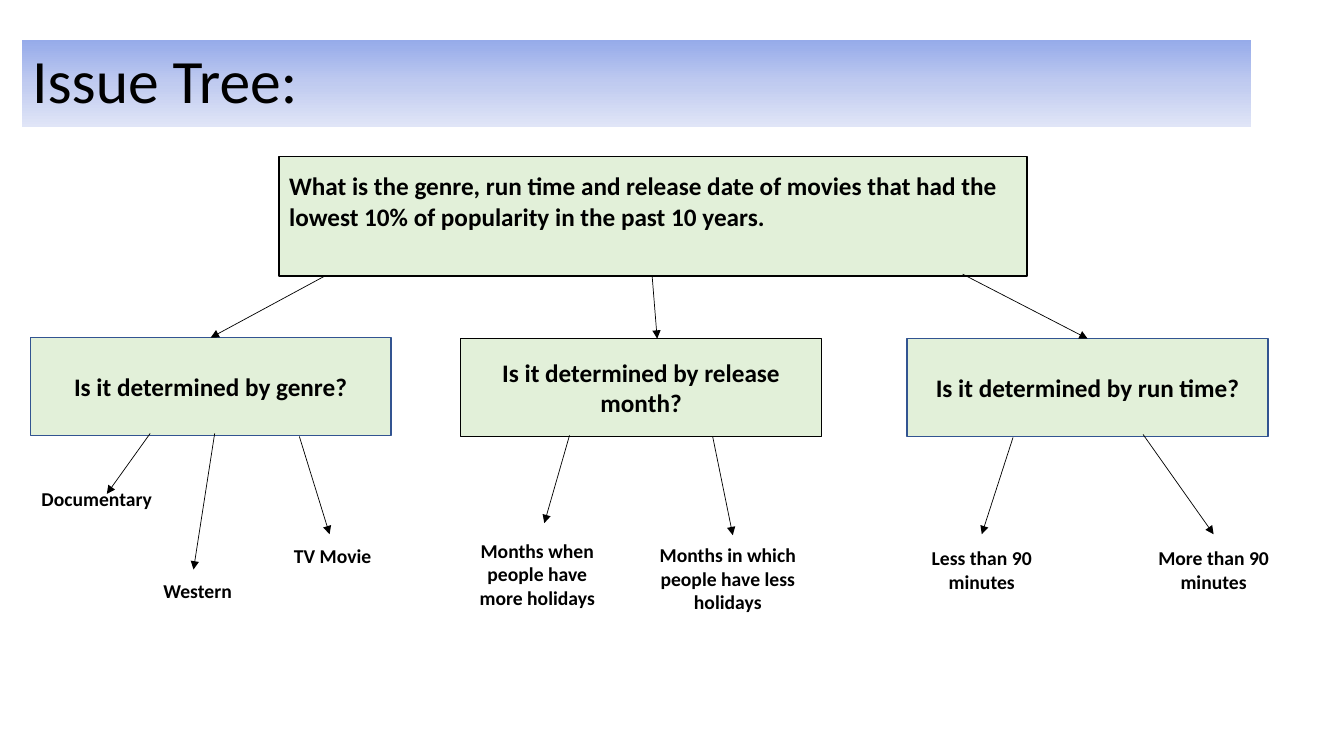
import copy
from dataclasses import dataclass
from typing import Any, Optional

import lxml.etree
import pptx
import pptx.dml.color
import pptx.enum.shapes
import pptx.enum.text
import pptx.oxml
import pptx.oxml.ns
import pptx.util

RGBColor = pptx.dml.color.RGBColor
Align = pptx.enum.text.PP_ALIGN

BLACK = RGBColor(0x00, 0x00, 0x00)
WHITE = RGBColor(0xFF, 0xFF, 0xFF)
PALE_GREEN = RGBColor(0xE2, 0xF0, 0xD9)
NAVY = RGBColor(0x32, 0x54, 0x91)
BANNER_TOP = RGBColor(0x96, 0xAB, 0xEA)
BANNER_MIDDLE = RGBColor(0xC0, 0xCB, 0xF0)
BANNER_BOTTOM = RGBColor(0xE0, 0xE5, 0xF7)

COLUMNS, ROWS = 80, 45
SLIDE_WIDTH, SLIDE_HEIGHT = pptx.util.Inches(13.33), pptx.util.Inches(7.5)
BRANCH_WIDTH, BRANCH_HEIGHT = 21.48, 5.82
LEAF_WIDTH, LEAF_HEIGHT = 9.84, 4.2


@dataclass(frozen=True)
class Node:
    text: str
    left: float
    top: float
    width: float
    height: float
    fill: Optional[RGBColor] = PALE_GREEN
    line: Optional[RGBColor] = BLACK
    size: int = 18
    bold: bool = True
    align: Any = Align.CENTER
    bottom_inset: float = 0.3


@dataclass(frozen=True)
class Arrow:
    start_column: float
    start_row: float
    end_column: float
    end_row: float


def branch(text: str, left: float, top: float, line: RGBColor) -> Node:
    return Node(text, left, top, BRANCH_WIDTH, BRANCH_HEIGHT, line=line)


def leaf(text: str, left: float, top: float, height: float = LEAF_HEIGHT) -> Node:
    return Node(text, left, top, LEAF_WIDTH, height, WHITE, None, 14)


TITLE = Node("Issue Tree:", 1.32, 2.4, 73.14, 5.16, None, None, 44, False, Align.LEFT)

NODES = [
    Node(
        "What is the genre, run time and release date of movies that had the "
        "lowest 10% of popularity in the past 10 years.",
        16.62, 9.3, 44.52, 7.14, align=Align.LEFT, bottom_inset=2.13,
    ),
    branch("Is it determined by genre?", 1.8, 20.1, NAVY),
    branch("Is it determined by release month?", 27.42, 20.16, BLACK),
    branch("Is it determined by run time?", 54, 20.16, NAVY),
    leaf("Western", 6.84, 33.06),
    leaf("TV Movie", 14.88, 30.96),
    leaf("Documentary", 0.84, 27.6),
    leaf("Months when people have more holidays", 27.06, 31.8, 4.74),
    leaf("Months in which people have less holidays", 38.4, 32.34),
    leaf("Less than 90 minutes", 53.52, 31.8),
    leaf("More than 90 minutes", 67.32, 31.8),
]

ARROWS = [
    Arrow(19.32, 16.44, 12.54, 20.1),
    Arrow(38.82, 16.44, 39.12, 20.16),
    Arrow(57.3, 16.32, 64.74, 20.16),
    Arrow(8.94, 25.8, 6.36, 29.4),
    Arrow(12.78, 25.8, 11.52, 33.9),
    Arrow(17.82, 25.98, 19.62, 31.8),
    Arrow(33.9, 25.92, 32.4, 31.14),
    Arrow(42.42, 25.98, 43.62, 31.86),
    Arrow(60.3, 26.04, 58.44, 31.8),
    Arrow(68.04, 25.86, 72.24, 31.8),
]


def across(columns: float) -> int:
    return round(SLIDE_WIDTH * columns / COLUMNS)


def down(rows: float) -> int:
    return round(SLIDE_HEIGHT * rows / ROWS)


def apply_format(target: Any, values: dict[str, Any]) -> None:
    for name, value in values.items():
        setattr(target, name, value)


def draw_node(page: Any, node: Node) -> Any:
    box = page.shapes.add_shape(
        pptx.enum.shapes.MSO_SHAPE.RECTANGLE,
        across(node.left), down(node.top), across(node.width), down(node.height),
    )
    box.shadow.inherit = False
    if node.fill is not None:
        box.fill.solid()
        box.fill.fore_color.rgb = node.fill
    if node.line is None:
        box.line.fill.background()
    else:
        box.line.color.rgb = node.line
        box.line.width = pptx.util.Pt(1)
    apply_format(box.text_frame, {
        "word_wrap": True,
        "vertical_anchor": pptx.enum.text.MSO_ANCHOR.MIDDLE,
        "margin_bottom": down(node.bottom_inset),
    })
    para = box.text_frame.paragraphs[0]
    para.alignment = node.align
    span = para.add_run()
    span.text = node.text
    apply_format(span.font, {
        "name": "Calibri",
        "size": pptx.util.Pt(node.size),
        "bold": node.bold,
    })
    span.font.color.rgb = BLACK
    return box


def draw_title(page: Any, node: Node) -> None:
    box = draw_node(page, node)
    box.text_frame.paragraphs[0].line_spacing = 0.9
    box.fill.gradient()
    box.fill.gradient_angle = 270
    stop_list = box.element.spPr.find(".//" + pptx.oxml.ns.qn("a:gsLst"))
    stop_list.insert(1, copy.deepcopy(stop_list[0]))
    colors = [BANNER_TOP, BANNER_MIDDLE, BANNER_BOTTOM]
    for index, (stop, color) in enumerate(zip(box.fill.gradient_stops, colors)):
        stop.position = index / 2
        stop.color.rgb = color


def draw_arrow(page: Any, arrow: Arrow) -> None:
    connector = page.shapes.add_connector(
        pptx.enum.shapes.MSO_CONNECTOR.STRAIGHT,
        across(arrow.start_column), down(arrow.start_row),
        across(arrow.end_column), down(arrow.end_row),
    )
    connector.line.color.rgb = BLACK
    connector.line.width = pptx.util.Pt(0.5)
    qn = pptx.oxml.ns.qn
    properties = connector.element.spPr
    outline = properties.find(qn("a:ln"))
    lxml.etree.SubElement(outline, qn("a:tailEnd"), type="triangle")
    lxml.etree.SubElement(properties, qn("a:effectLst"))


def main() -> None:
    deck = pptx.Presentation()
    apply_format(deck, {"slide_width": SLIDE_WIDTH, "slide_height": SLIDE_HEIGHT})
    page = deck.slides.add_slide(deck.slide_layouts[6])
    draw_title(page, TITLE)
    for node in NODES:
        draw_node(page, node)
    for arrow in ARROWS:
        draw_arrow(page, arrow)
    deck.save("out.pptx")


main()
